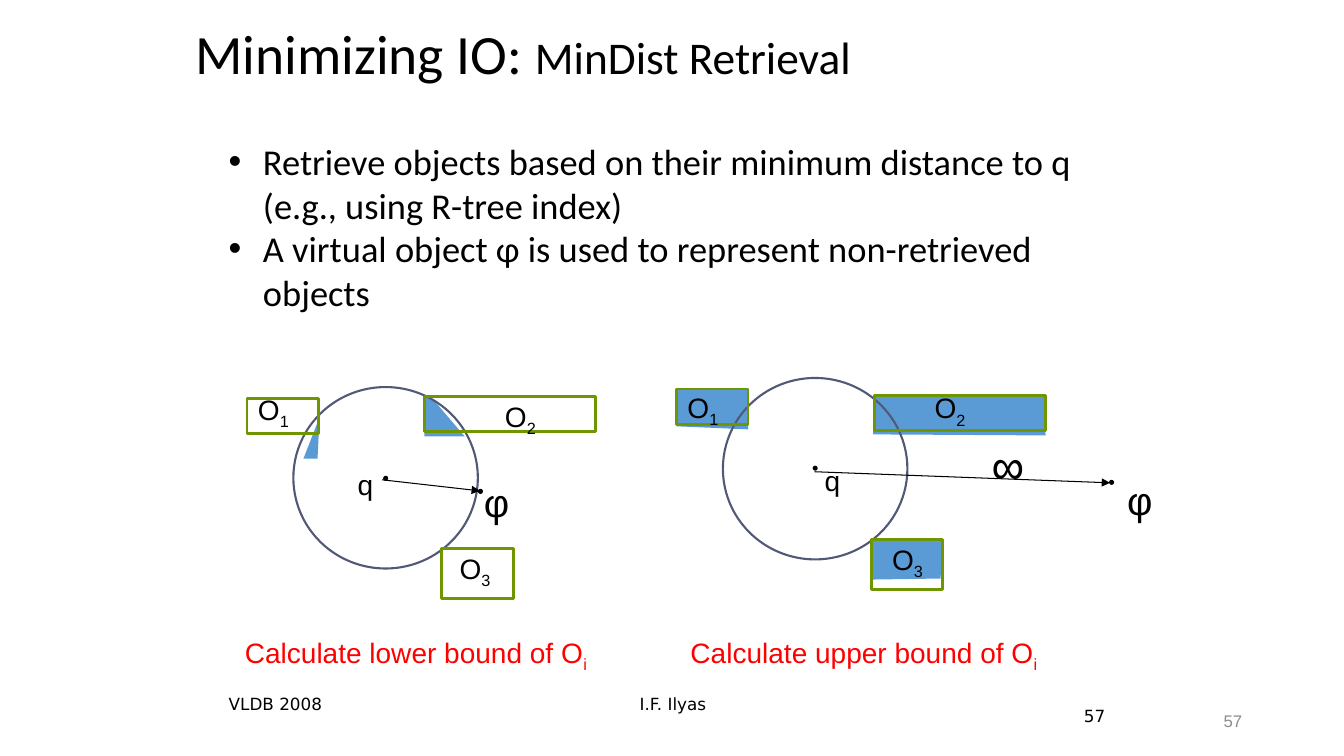
from dataclasses import dataclass
from typing import NamedTuple

from lxml.etree import SubElement
from pptx import Presentation
from pptx.dml.color import RGBColor
from pptx.enum.shapes import MSO_CONNECTOR, MSO_SHAPE
from pptx.enum.text import MSO_ANCHOR, PP_ALIGN
from pptx.oxml.ns import qn
from pptx.util import Emu, Inches, Pt

COLORS = {"ink": "000000", "circle": "525977", "box": "6F9500",
          "region": "5B9BD5", "caption": "FF0000", "page": "8C8C8C"}
CELL = Inches(0.1)  # every length is a count of grid columns or rows
BULLET_INDENT = 3.4
CIRCLE_SIZE = (18.3, 18)
OBJECT_SIZES = ((7.1, 3.5), (17, 3.5), (7.1, 5))
DOT = 0.5
LABEL_H, PHI_H = 4.4, 5.7

Point = tuple[float, float]
Box = tuple[float, float, float, float]


class Run(NamedTuple):
    text: str
    sub: bool = False
    size: float | None = None


@dataclass
class Panel:
    circle: Point
    objects: tuple[Point, ...]
    labels: tuple[Box, ...]
    regions: tuple[tuple[Point, ...], ...]
    q_dot: Point
    q_label: Point
    phi_dot: Point
    phi_label: Point
    arrow: tuple[Point, Point]
    caption: str
    caption_left: float


PANELS = (
    Panel(circle=(29.1, 38.4),
          objects=((24.5, 39.5), (42.1, 39.3), (43.8, 54.4)),
          labels=((24.6, 38.4, 7.1, LABEL_H), (49.1, 39.1, 6.5, LABEL_H),
                  (44.6, 54.2, 5.4, LABEL_H)),
          regions=(((30.1, 45.5), (31.5, 45.5), (31.7, 41.4)),
                   ((42.1, 43.3), (46.1, 43.3), (44.3, 41.2), (43.2, 39.9),
                    (42.2, 39.3))),
          q_dot=(38, 47.2), q_label=(34.5, 45.9),
          phi_dot=(47.4, 48.5), phi_label=(47, 47),
          arrow=((37.9, 47.6), (47.6, 48.7)),
          caption="Calculate lower bound of O", caption_left=23.3),
    Panel(circle=(71.7, 37.5),
          objects=((67.1, 38.6), (86.7, 39.2), (86.4, 53.5)),
          labels=((67.2, 38.2, 6.5, LABEL_H), (91.7, 38.3, 6.5, LABEL_H),
                  (87.5, 53.3, 5.4, LABEL_H)),
          regions=(((67.1, 42.3), (74.2, 42.6), (74.2, 38.6), (67, 38.6)),
                   ((86.6, 39.3), (103.6, 39.2), (103.7, 43.2), (86.6, 43.1)),
                   ((86.4, 53.5), (93.4, 53.6), (93.3, 57.4), (86.4, 57.5))),
          q_dot=(80.6, 46.2), q_label=(80.8, 45.5),
          phi_dot=(110, 47.6), phi_label=(110.8, 46.8),
          arrow=((80.8, 46.8), (110.1, 47.9)),
          caption="Calculate upper bound of O", caption_left=67.5),
)


def grid(*cells: float) -> list[Emu]:
    return [Emu(round(c * CELL)) for c in cells]


def rgb(name: str) -> RGBColor:
    return RGBColor.from_string(COLORS[name])


def add_text(slide, box: Box, *paragraphs: tuple[Run, ...], size: float = 20,
             font: str = "Arial", color: str = "ink", align=PP_ALIGN.LEFT,
             anchor=MSO_ANCHOR.TOP, spacing: float = 1.0,
             bullet: bool = False) -> None:
    tf = slide.shapes.add_textbox(*grid(*box)).text_frame
    tf.word_wrap = True
    tf.vertical_anchor = anchor
    for i, runs in enumerate(paragraphs):
        p = tf.add_paragraph() if i else tf.paragraphs[0]
        p.alignment = align
        p.line_spacing = spacing
        if bullet:
            indent = round(BULLET_INDENT * CELL)
            pPr = p._p.get_or_add_pPr()
            pPr.set("marL", str(indent))
            pPr.set("indent", str(-indent))
            SubElement(pPr, qn("a:buFont")).set("typeface", "Arial")
            SubElement(pPr, qn("a:buChar")).set("char", "•")
        for run in runs:
            r = p.add_run()
            r.text = run.text
            r.font.name = font
            r.font.size = Pt(run.size or size)
            r.font.color.rgb = rgb(color)
            if run.sub:
                r._r.get_or_add_rPr().set("baseline", "-25000")


def paint(sp, fill: str | None = None, line: str | None = None,
          width: float = 1) -> None:
    sp.shadow.inherit = False
    if fill:
        sp.fill.solid()
        sp.fill.fore_color.rgb = rgb(fill)
    else:
        sp.fill.background()
    if line:
        sp.line.color.rgb = rgb(line)
        sp.line.width = Pt(width)
    else:
        sp.line.fill.background()


def add_region(slide, points: tuple[Point, ...]) -> None:
    start, *rest = [grid(*pt) for pt in points]
    builder = slide.shapes.build_freeform(*start)
    builder.add_line_segments(rest, close=True)
    paint(builder.convert_to_shape(), fill="region")


def add_dot(slide, at: Point) -> None:
    paint(slide.shapes.add_shape(MSO_SHAPE.OVAL, *grid(*at, DOT, DOT)), fill="ink")


def add_arrow(slide, start: Point, end: Point) -> None:
    cxn = slide.shapes.add_connector(MSO_CONNECTOR.STRAIGHT, *grid(*start, *end))
    cxn.line.color.rgb = rgb("ink")
    cxn.line.width = Pt(0.75)
    SubElement(cxn.line._get_or_add_ln(), qn("a:tailEnd")).set("type", "triangle")
    SubElement(cxn._element.spPr, qn("a:effectLst"))


def add_panel(slide, panel: Panel) -> None:
    shapes = slide.shapes
    for region in panel.regions:
        add_region(slide, region)
    circle = shapes.add_shape(MSO_SHAPE.OVAL, *grid(*panel.circle, *CIRCLE_SIZE))
    paint(circle, line="circle", width=1.5)

    # Uncertain objects
    for at, size in zip(panel.objects, OBJECT_SIZES):
        sp = shapes.add_shape(MSO_SHAPE.RECTANGLE, *grid(*at, *size))
        paint(sp, line="box", width=2)
    for number, box in enumerate(panel.labels, 1):
        add_text(slide, box, (Run("O"), Run(str(number), sub=True)))

    # Query point and virtual object
    add_dot(slide, panel.q_dot)
    add_text(slide, (*panel.q_label, 3, LABEL_H), (Run("q"),))
    add_dot(slide, panel.phi_dot)
    add_text(slide, (*panel.phi_label, 4.2, PHI_H), (Run("φ"),), size=28)
    add_arrow(slide, *panel.arrow)
    add_text(slide, (panel.caption_left, 62.6, 37.5, LABEL_H),
             (Run(panel.caption), Run("i", sub=True)), color="caption")


def main() -> None:
    prs = Presentation()
    prs.slide_width, prs.slide_height = Inches(13.33), Inches(7.5)
    s = prs.slides.add_slide(prs.slide_layouts[6])

    # Title and bullets
    add_text(s, (18.4, 1.2, 98.3, 7.9),
             (Run("Minimizing IO: "), Run("MinDist Retrieval", size=32.4)),
             size=39.6, font="Calibri", anchor=MSO_ANCHOR.BOTTOM, spacing=0.9)
    add_text(s, (21.7, 13.3, 90, 53.7),
             (Run("Retrieve objects based on their minimum distance to q "
                  "(e.g., using R-tree index)"),),
             (Run("A virtual object φ is used to represent non-retrieved objects"),),
             size=26, font="Calibri", bullet=True)

    # Lower and upper bound diagrams
    for panel in PANELS:
        add_panel(s, panel)
    add_text(s, (97.5, 42.6, 9.2, 7.1), (Run("∞"),), size=36, font="Courier New")

    # Footer
    footer = {"size": 12, "font": "DejaVu Sans"}
    add_text(s, (21.7, 68.3, 23.3, 5), (Run("VLDB 2008"),), **footer)
    add_text(s, (46.9, 68.3, 39.7, 5), (Run("I.F. Ilyas"),),
             align=PP_ALIGN.CENTER, **footer)
    add_text(s, (88.9, 69.5, 21.7, 4), (Run("57"),), align=PP_ALIGN.RIGHT, **footer)
    add_text(s, (94.2, 69.5, 30, 4), (Run("57"),), size=12, color="page",
             align=PP_ALIGN.RIGHT, anchor=MSO_ANCHOR.MIDDLE)

    prs.save("out.pptx")


if __name__ == "__main__":
    main()
